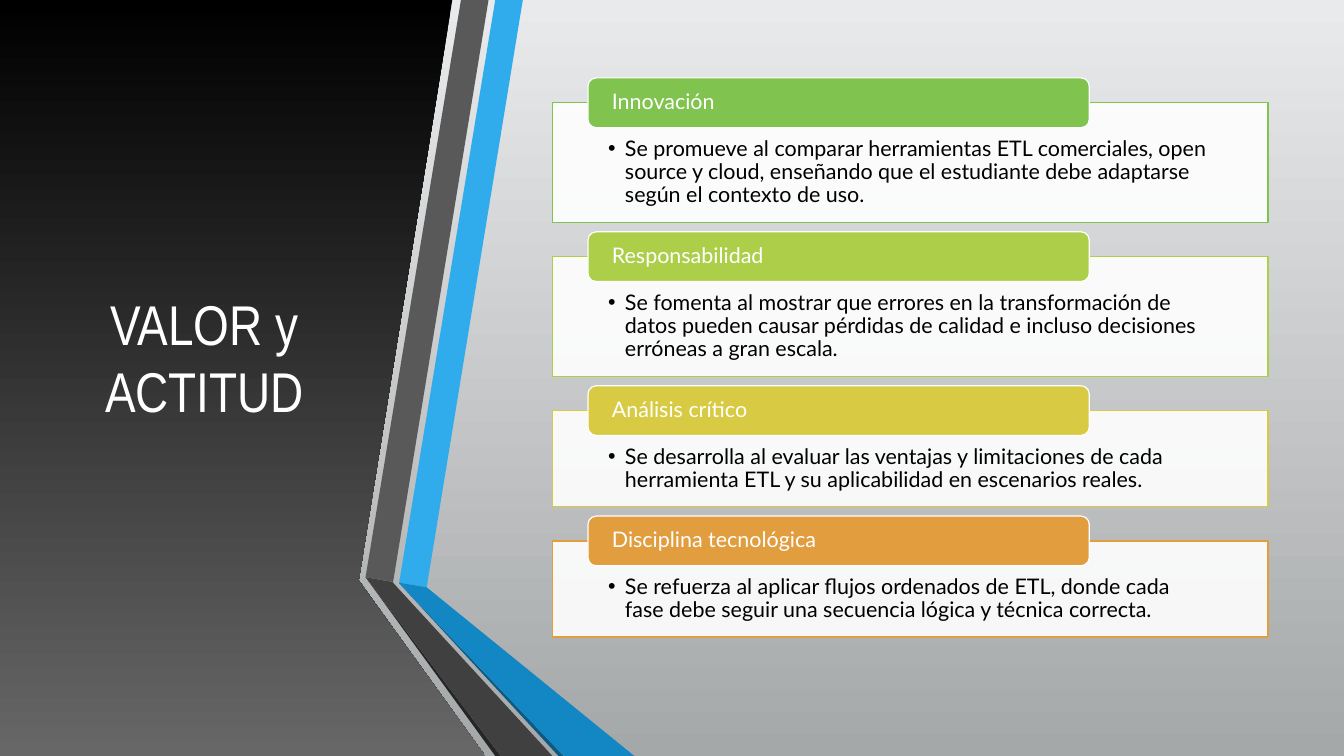
from collections import namedtuple

from lxml import etree
from pptx import Presentation
from pptx import util as u
from pptx.dml.color import RGBColor
from pptx.enum import shapes, text
from pptx.oxml.ns import qn

PX = 9144  # EMU in one px, 100 px to the inch

Box = namedtuple("Box", "left top width height")


class Theme:
    light_top, light_bottom = "E9EAEB", "A5A8A9"
    dark_top, dark_bottom = "000000", "676767"
    white, black = "FFFFFF", "000000"
    blue, blue_fold, blue_shade = "30ACEC", "1287C3", "0C5A82"
    grey, grey_fold, grey_shade = "595959", "404040", "262626"
    title_font, body_font = "Arial Narrow", "Lato"
    title_size, body_size = 60, 23
    line_width = 1.25


PAGE = Box(0, 0, 2000, 1125)

PANEL_OUTLINE = [(0, 0), (673, 0), (534, 863), (534, 864), (722, 1125), (0, 1125)]

# Relative to the left edge of the folded ribbons
RIBBONS = [
    (Theme.blue, [(50, 867), (91, 874), (234, 0), (193, 0)]),
    (Theme.grey, [(183, 0), (142, 0), (0, 859), (41, 866)]),
    (Theme.grey_shade, [(0, 859), (193, 1125), (201, 1125)]),
    (Theme.blue_shade, [(50, 868), (287, 1125), (295, 1125)]),
    (Theme.blue_fold, [(50, 868), (295, 1125), (400, 1125), (91, 874), (50, 867)]),
    (Theme.grey_fold, [(278, 1125), (48, 875), (40, 866), (0, 859), (201, 1125)]),
]

# Heading, text, colour, height of the card
CARDS = [
    ("Innovación",
     "Se promueve al comparar herramientas ETL comerciales, open source y cloud, "
     "enseñando que el estudiante debe adaptarse según el contexto de uso.",
     "80C34F", 178),
    ("Responsabilidad",
     "Se fomenta al mostrar que errores en la transformación de datos pueden causar "
     "pérdidas de calidad e incluso decisiones erróneas a gran escala.",
     "ADCE49", 178),
    ("Análisis crítico",
     "Se desarrolla al evaluar las ventajas y limitaciones de cada herramienta ETL "
     "y su aplicabilidad en escenarios reales.",
     "D8CB43", 143),
    ("Disciplina tecnológica",
     "Se refuerza al aplicar flujos ordenados de ETL, donde cada fase debe seguir "
     "una secuencia lógica y técnica correcta.",
     "E29D3E", 143),
]
CARD_GAP = 51


def emu(box):
    return [length * PX for length in box]


def rgb(colour):
    return RGBColor.from_string(colour)


def paint(fill, colour):
    fill.solid()
    fill.fore_color.rgb = rgb(colour)


def shade_down(fill, top, bottom):
    """Fill with a gradient that runs from top to bottom."""
    fill.gradient()
    fill.gradient_angle = 270
    for stop, colour, position in zip(fill.gradient_stops, (top, bottom), (0, 1)):
        stop.color.rgb = rgb(colour)
        stop.position = position


def add_outline(page, box, points):
    builder = page.shapes.build_freeform(*points[0], scale=PX)
    builder.add_line_segments(points[1:], close=True)
    shape = builder.convert_to_shape(box.left * PX, box.top * PX)
    shape.shadow.inherit = False
    shape.line.fill.background()
    return shape


def add_framed(page, kind, box, fill, line):
    shape = page.shapes.add_shape(kind, *emu(box))
    shape.shadow.inherit = False
    paint(shape.fill, fill)
    shape.line.color.rgb = rgb(line)
    shape.line.width = u.Pt(Theme.line_width)
    return shape


def write(shape, words, font, size, colour, align, anchor, insets):
    frame = shape.text_frame
    frame.text = words
    frame.word_wrap = True
    frame.vertical_anchor = anchor
    (frame.margin_left, frame.margin_top,
     frame.margin_right, frame.margin_bottom) = emu(insets)
    para = frame.paragraphs[0]
    para.alignment = align
    span = para.runs[0]
    span.font.name = font
    span.font.size = u.Pt(size)
    span.font.color.rgb = rgb(colour)
    return para


def add_bullet(para, indent):
    properties = para._p.get_or_add_pPr()
    properties.set("marL", str(indent * PX))
    properties.set("indent", str(-indent * PX))
    etree.SubElement(properties, qn("a:buFont")).set("typeface", "Arial")
    etree.SubElement(properties, qn("a:buChar")).set("char", "•")


def add_backdrop(page, box):
    shade_down(page.background.fill, Theme.light_top, Theme.light_bottom)
    panel = add_outline(page, box, PANEL_OUTLINE)
    shade_down(panel.fill, Theme.dark_top, Theme.dark_bottom)


def add_title(page, box):
    title = page.shapes.add_textbox(*emu(box))
    write(title, "VALOR y ACTITUD", Theme.title_font, Theme.title_size, Theme.white,
          text.PP_ALIGN.CENTER, text.MSO_ANCHOR.MIDDLE, (10, 5, 10, 5))


def add_ribbons(page, box):
    for colour, points in RIBBONS:
        paint(add_outline(page, box, points).fill, colour)


def add_card(page, box, heading, words, colour):
    body = add_framed(page, shapes.MSO_SHAPE.RECTANGLE, box, Theme.white, colour)
    white = body.fill._xPr.find(qn("a:solidFill"))[0]
    etree.SubElement(white, qn("a:alpha")).set("val", "90000")
    para = write(body, words, Theme.body_font, Theme.body_size, Theme.black,
                 text.PP_ALIGN.LEFT, text.MSO_ANCHOR.TOP, (83, 52, 83, 18))
    para.line_spacing = 0.9
    add_bullet(para, 25)

    tab_box = Box(box.left + 53, box.top - 37, 746, 74)
    tab = add_framed(page, shapes.MSO_SHAPE.ROUNDED_RECTANGLE, tab_box,
                     colour, Theme.white)
    para = write(tab, heading, Theme.body_font, Theme.body_size, Theme.white,
                 text.PP_ALIGN.LEFT, text.MSO_ANCHOR.MIDDLE, (32, 0, 32, 0))
    para.line_spacing = 0.9


def add_card_column(page, box):
    top = box.top
    for heading, words, colour, height in CARDS:
        add_card(page, Box(box.left, top, box.width, height), heading, words, colour)
        top += height + CARD_GAP


def main():
    deck = Presentation()
    deck.slide_width, deck.slide_height = emu(PAGE[2:])
    page = deck.slides.add_slide(deck.slide_layouts[6])
    add_backdrop(page, PAGE)
    add_title(page, Box(88, 112, 433, 838))
    add_ribbons(page, Box(544, 0, 400, 1125))
    add_card_column(page, Box(822, 153, 1065, 794))
    deck.save("out.pptx")


if __name__ == "__main__":
    main()
